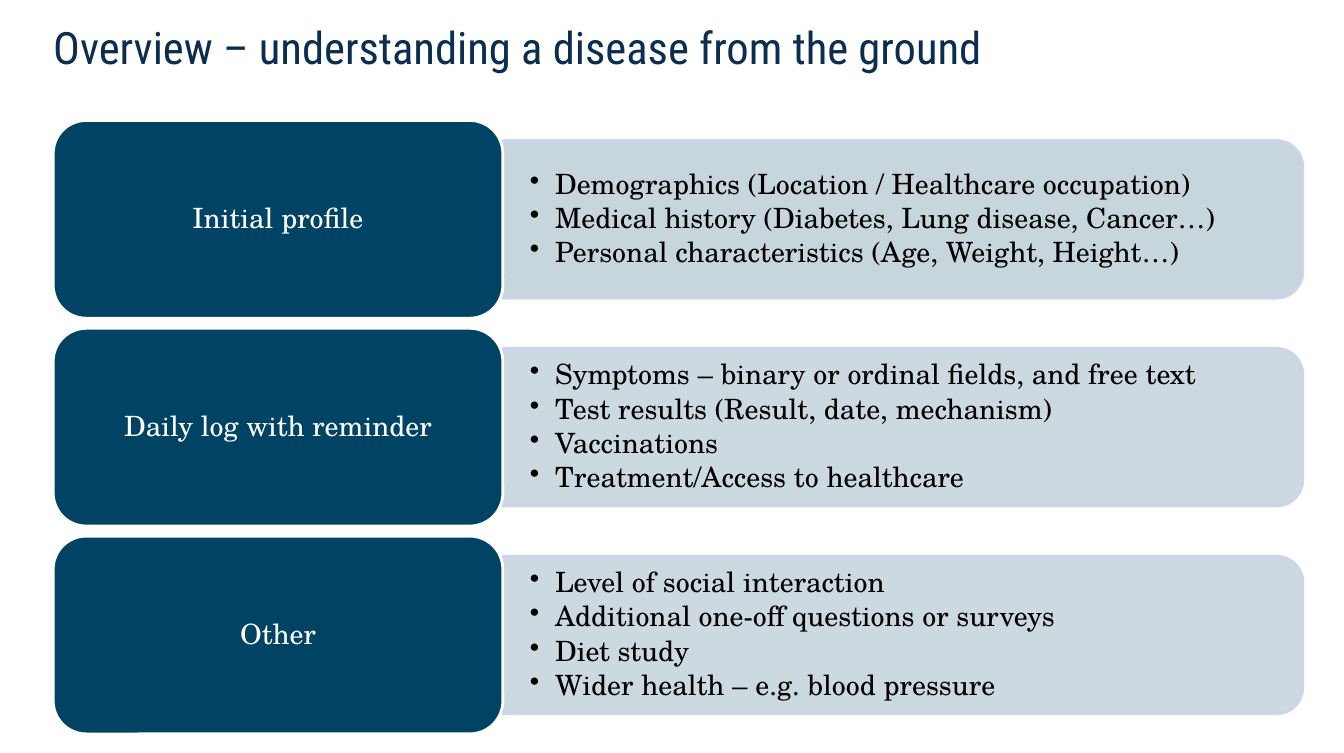
from pptx import Presentation, util as u
from pptx.dml.color import RGBColor
from pptx.enum import shapes, text
from pptx.oxml.ns import qn
from lxml import etree

# Content
HEAD = "Overview – understanding a disease from the ground"
ROWS = [
    ("Initial profile", 22, [
        "Demographics (Location / Healthcare occupation)",
        "Medical history (Diabetes, Lung disease, Cancer…)",
        "Personal characteristics (Age, Weight, Height…)"]),
    ("Daily log with reminder", 20, [
        "Symptoms – binary or ordinal fields, and free text",
        "Test results (Result, date, mechanism)",
        "Vaccinations",
        "Treatment/Access to healthcare"]),
    ("Other", 20, [
        "Level of social interaction",
        "Additional one-off questions or surveys",
        "Diet study",
        "Wider health – e.g. blood pressure"]),
]
SERIF, SANS = "TeX Gyre Schola", "Roboto Condensed"
NAVY, EDGE, WHITE, BLACK, INK = "014364", "CCD2EE", "FFFFFF", "000000", "0A2D50"

# Grid, in inches
WIDE, HIGH = 13.39, 7.5
LEFT, TOP, PITCH = 0.53, 1.2, 2.07
CARD_W, CARD_H = 4.48, 1.97
PANEL_W, PANEL_H = 7.97, 1.57
SPLIT = LEFT + CARD_W


def rgb(code):
    return RGBColor.from_string(code)


def place(shape, *box):
    shape.left, shape.top, shape.width, shape.height = map(u.Inches, box)


def fade(color, share):
    node = color._xFill.find(qn("a:srgbClr"))
    etree.SubElement(node, qn("a:alpha")).set("val", str(share * 1000))


def style(para, face, size, color):
    para.font.name, para.font.size = face, u.Pt(size)
    para.font.color.rgb = rgb(color)


def block(kind, box, fill, line):
    shape = slide.shapes.add_shape(kind, *map(u.Inches, box))
    shape.shadow.inherit = False
    shape.fill.solid()
    shape.fill.fore_color.rgb = rgb(fill)
    shape.line.color.rgb = rgb(line)
    shape.line.width = u.Pt(2)
    return shape


def panel(mid, share):
    # Upright shape turned so that its round corners face right
    left = SPLIT + (PANEL_W - PANEL_H) / 2
    shape = block(shapes.MSO_SHAPE.ROUND_2_SAME_RECTANGLE,
                  (left, mid - PANEL_W / 2, PANEL_H, PANEL_W), NAVY, EDGE)
    shape.rotation = 90
    for part, alpha in ((shape._element.spPr, share),
                        (shape._element.spPr.find(qn("a:ln")), 90)):
        node = part.find(qn("a:solidFill")).find(qn("a:srgbClr"))
        etree.SubElement(node, qn("a:alpha")).set("val", str(alpha * 1000))


def points(mid, items):
    box = (SPLIT, mid - 0.71, 7.89, 1.42)
    frame = slide.shapes.add_textbox(*map(u.Inches, box)).text_frame
    frame.word_wrap = True
    frame.vertical_anchor = text.MSO_ANCHOR.MIDDLE
    frame.margin_left = frame.margin_right = u.Inches(0.27)
    frame.margin_top = frame.margin_bottom = 0
    frame.text = "\n".join(items)
    for para in frame.paragraphs:
        props = para._p.get_or_add_pPr()
        props.set("marL", str(u.Inches(0.25)))
        props.set("indent", str(-u.Inches(0.25)))
        para.line_spacing, para.space_after = 0.9, u.Pt(3)
        etree.SubElement(props, qn("a:buChar")).set("char", "•")
        style(para, SERIF, 20, BLACK)


def card(mid, label):
    shape = block(shapes.MSO_SHAPE.ROUNDED_RECTANGLE,
                  (LEFT, mid - CARD_H / 2, CARD_W, CARD_H), NAVY, WHITE)
    frame = shape.text_frame
    frame.vertical_anchor = text.MSO_ANCHOR.MIDDLE
    frame.text = label
    para = frame.paragraphs[0]
    para.alignment, para.line_spacing = text.PP_ALIGN.CENTER, 0.9
    style(para, SERIF, 20, WHITE)


deck = Presentation()
deck.slide_width, deck.slide_height = u.Inches(WIDE), u.Inches(HIGH)
slide = deck.slides.add_slide(deck.slide_layouts[5])

# Title
title = slide.shapes.title
place(title, LEFT, 0.2, 12.34, 0.79)
frame = title.text_frame
frame.text = HEAD
frame.auto_size = text.MSO_AUTO_SIZE.NONE
frame.vertical_anchor = text.MSO_ANCHOR.TOP
frame.margin_left = frame.margin_right = frame.margin_top = frame.margin_bottom = 0
frame.paragraphs[0].alignment = text.PP_ALIGN.LEFT
style(frame.paragraphs[0], SANS, 32, INK)

# Rows
for row, (label, share, items) in enumerate(ROWS):
    mid = TOP + row * PITCH + CARD_H / 2
    panel(mid, share)
    points(mid, items)
    card(mid, label)

deck.save("out.pptx")
